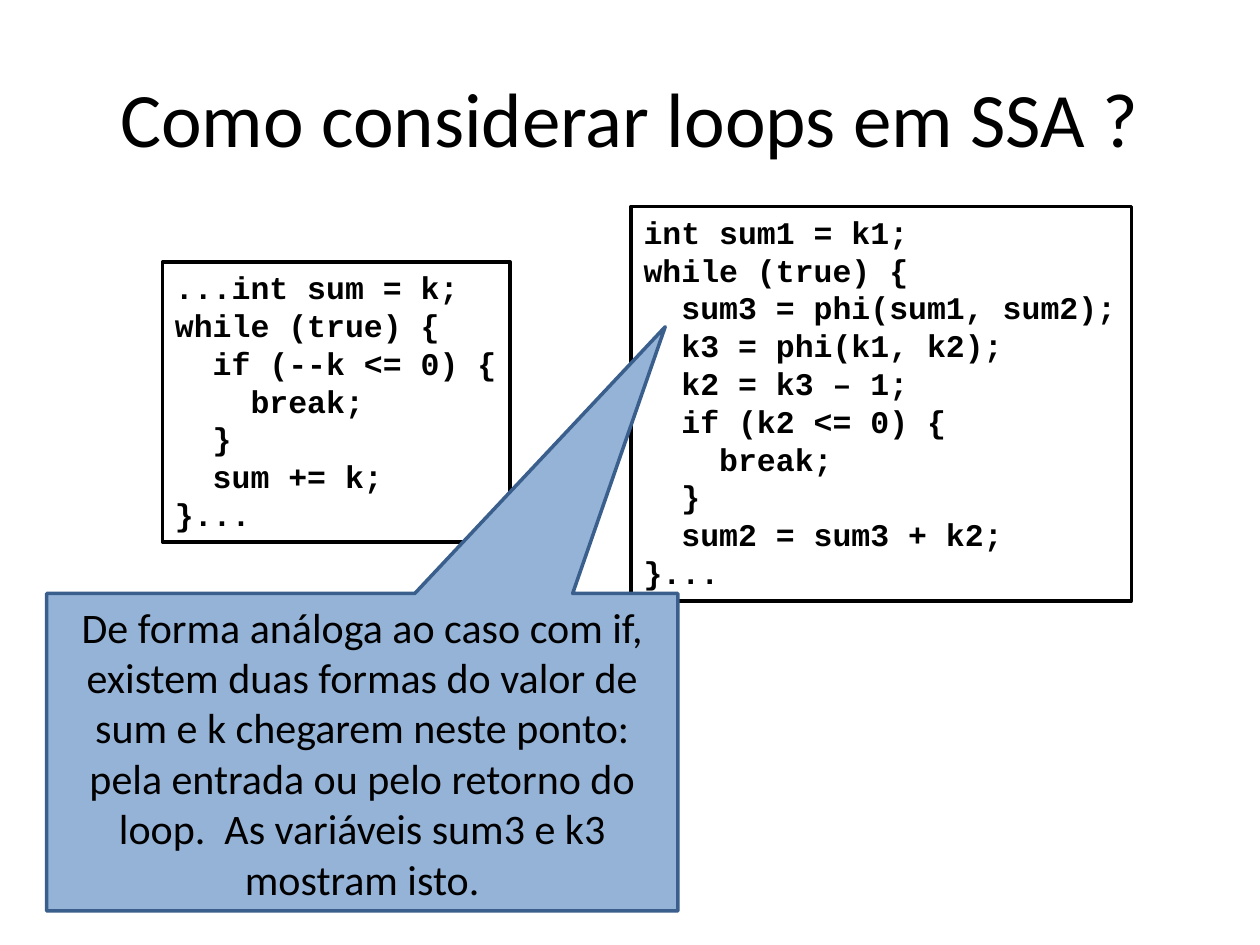
from dataclasses import dataclass

from pptx import Presentation
from pptx.dml.color import RGBColor
from pptx.enum.shapes import MSO_SHAPE
from pptx.enum.text import MSO_ANCHOR, MSO_AUTO_SIZE, PP_ALIGN
from pptx.util import Inches, Pt

WIDE, HIGH = 10, 7.5
COLORS = {"ink": "000000", "paper": "FFFFFF", "note": "95B3D7", "edge": "3A5F8C"}

LOOP = """...int sum = k;
while (true) {
  if (--k <= 0) {
    break;
  }
  sum += k;
}..."""

SSA_LOOP = """int sum1 = k1;
while (true) {
  sum3 = phi(sum1, sum2);
  k3 = phi(k1, k2);
  k2 = k3 – 1;
  if (k2 <= 0) {
    break;
  }
  sum2 = sum3 + k2;
}..."""

NOTE = (
    "De forma análoga ao caso com if, existem duas formas do valor de sum e k "
    "chegarem neste ponto: pela entrada ou pelo retorno do loop.  "
    "As variáveis sum3 e k3 mostram isto."
)


@dataclass
class Area:
    """Left, top, width and height in percent of the slide's size."""
    left: float
    top: float
    width: float
    height: float

    def place(self, shape) -> None:
        shape.left = Inches(WIDE * self.left / 100)
        shape.top = Inches(HIGH * self.top / 100)
        shape.width = Inches(WIDE * self.width / 100)
        shape.height = Inches(HIGH * self.height / 100)


@dataclass
class Box:
    area: Area
    text: str
    kind: MSO_SHAPE = MSO_SHAPE.RECTANGLE
    fill: str = "paper"
    line: str = "ink"
    font: str = "Courier New"
    size: int = 18
    bold: bool = True
    align: PP_ALIGN = PP_ALIGN.LEFT
    anchor: MSO_ANCHOR = MSO_ANCHOR.TOP
    wrap: bool = False
    fit: MSO_AUTO_SIZE = MSO_AUTO_SIZE.SHAPE_TO_FIT_TEXT
    tip: tuple[float, ...] = ()


def color(name: str) -> RGBColor:
    return RGBColor.from_string(COLORS[name])


def style(frame, font: str, size: int, bold: bool, align: PP_ALIGN) -> None:
    for para in frame.paragraphs:
        para.alignment = align
        para.font.name = font
        para.font.size = Pt(size)
        para.font.bold = bold
        para.font.color.rgb = color("ink")


def draw(slide, box: Box) -> None:
    shape = slide.shapes.add_shape(box.kind, 0, 0, 0, 0)
    box.area.place(shape)
    shape.shadow.inherit = False
    shape.fill.solid()
    shape.fill.fore_color.rgb = color(box.fill)
    shape.line.color.rgb = color(box.line)
    shape.line.width = Pt(2)
    for spot, value in enumerate(box.tip):
        shape.adjustments[spot] = value
    frame = shape.text_frame
    frame.text = box.text
    frame.word_wrap = box.wrap
    frame.auto_size = box.fit
    frame.vertical_anchor = box.anchor
    style(frame, box.font, box.size, box.bold, box.align)


BOXES = [
    Box(Area(12.9, 27.73, 27.6, 29.6), LOOP),
    Box(Area(50.1, 21.87, 39.7, 41.73), SSA_LOOP),
    Box(
        Area(3.7, 62.8, 50.1, 33.6), NOTE, MSO_SHAPE.RECTANGULAR_CALLOUT,
        fill="note", line="edge", font="Calibri", size=24, bold=False,
        align=PP_ALIGN.CENTER, anchor=MSO_ANCHOR.MIDDLE, wrap=True,
        fit=MSO_AUTO_SIZE.NONE, tip=(0.48, -1.34),
    ),
]


def main() -> None:
    deck = Presentation()
    deck.slide_width, deck.slide_height = Inches(WIDE), Inches(HIGH)
    slide = deck.slides.add_slide(deck.slide_layouts[5])
    title = slide.shapes.title
    Area(5, 4, 90, 16.67).place(title)
    title.text_frame.text = "Como considerar loops em SSA ?"
    title.text_frame.vertical_anchor = MSO_ANCHOR.MIDDLE
    style(title.text_frame, "Calibri", 44, False, PP_ALIGN.CENTER)
    for box in BOXES:
        draw(slide, box)
    deck.save("out.pptx")


if __name__ == "__main__":
    main()
